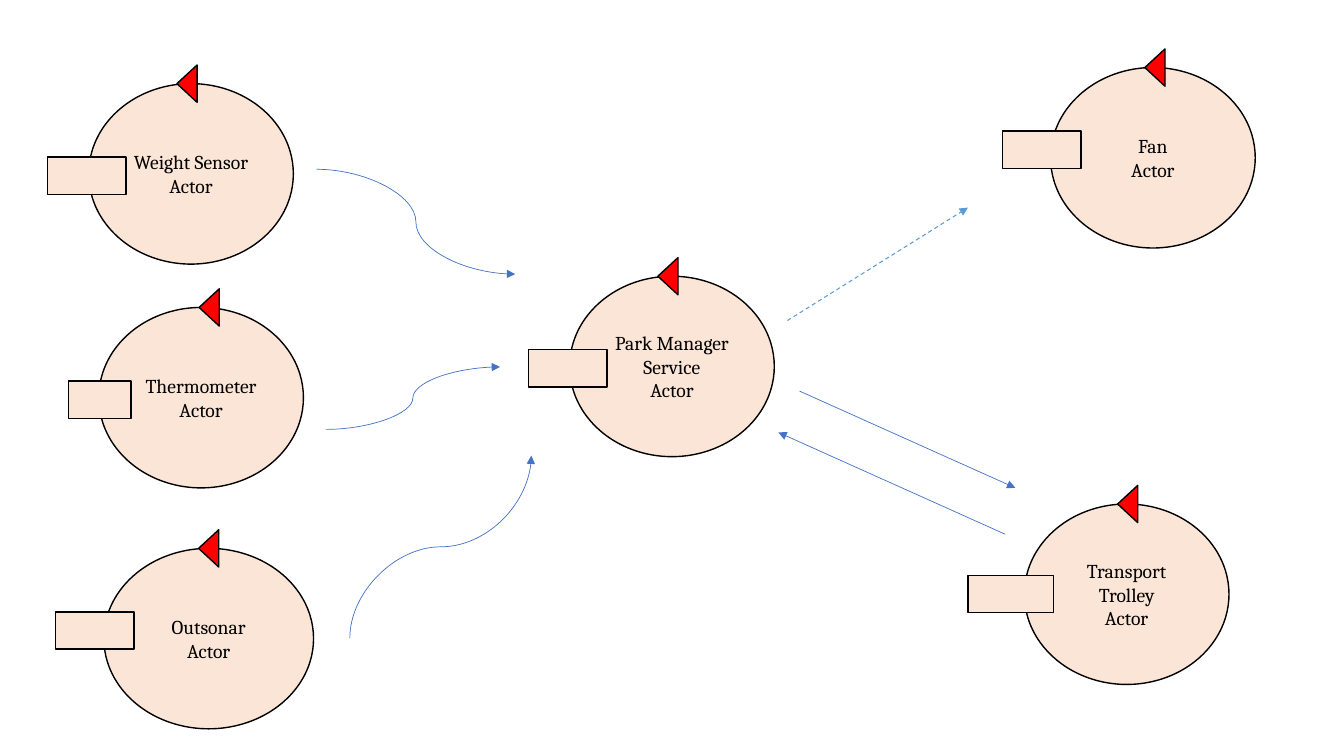
from lxml import etree
from pptx import Presentation
from pptx.dml.color import RGBColor
from pptx.enum.dml import MSO_LINE
from pptx.enum.shapes import MSO_CONNECTOR, MSO_SHAPE
from pptx.enum.text import MSO_ANCHOR, PP_ALIGN
from pptx.oxml.ns import qn
from pptx.util import Pt

PX = 9144  # EMU per px, 100 px to the inch
SLIDE_W, SLIDE_H = 1333, 750

ELLIPSE, TRIANGLE, RECT = MSO_SHAPE.OVAL, MSO_SHAPE.ISOSCELES_TRIANGLE, MSO_SHAPE.RECTANGLE
STRAIGHT, CURVE = MSO_CONNECTOR.STRAIGHT, MSO_CONNECTOR.CURVE
DASH = MSO_LINE.DASH
CENTER, MIDDLE = PP_ALIGN.CENTER, MSO_ANCHOR.MIDDLE

PEACH = RGBColor(0xFB, 0xE5, 0xD6)
RED = RGBColor(0xFF, 0x00, 0x00)
BLACK = RGBColor(0x00, 0x00, 0x00)
BLUE = RGBColor(0x44, 0x72, 0xC4)
LIGHT_BLUE = RGBColor(0x5B, 0x9B, 0xD5)
FONT = "Cambria"

ACTOR_H = 179
SLOT_H = 37
MARKER_W, MARKER_H = 37, 20

# name, actor box (x, y, w), slot in that box (dx, dy, w), marker shift from centre
ACTORS = [
    ("Thermometer", (98, 305, 203), (-30, 73, 62), 8),
    ("Transport Trolley", (1016, 500, 203), (-56, 71, 85), 1),
    ("Weight Sensor", (88, 83, 203), (-41, 73, 78), -4),
    ("Fan", (1042, 67, 203), (-48, 63, 78), 2),
    ("Outsonar", (103, 544, 208), (-48, 63, 78), 0),
    ("Park Manager Service", (565, 274, 203), (-41, 73, 78), -4),
]


def add_box(slide, kind, x, y, w, h, fill):
    sp = slide.shapes.add_shape(kind, *(round(v * PX) for v in (x, y, w, h)))
    sp.shadow.inherit = False
    sp.fill.solid()
    sp.fill.fore_color.rgb = fill
    sp.line.color.rgb = BLACK
    sp.line.width = Pt(1)
    return sp


def add_actor(slide, name, box, slot, marker_shift):
    x, y, w = box
    # Body with its label
    body = add_box(slide, ELLIPSE, x, y, w, ACTOR_H, PEACH)
    tf = body.text_frame
    tf.word_wrap = True
    tf.vertical_anchor = MIDDLE
    for i, text in enumerate((name, "Actor")):
        p = tf.add_paragraph() if i else tf.paragraphs[0]
        p.alignment = CENTER
        r = p.add_run()
        r.text = text
        r.font.name = FONT
        r.font.size = Pt(14)
        r.font.color.rgb = BLACK
    # Marker centred on the top edge, pointing left
    marker = add_box(slide, TRIANGLE, x + w / 2 + marker_shift - MARKER_W / 2,
                     y - MARKER_H / 2, MARKER_W, MARKER_H, RED)
    marker.rotation = 270
    # Slot on the left edge
    dx, dy, slot_w = slot
    add_box(slide, RECT, x + dx, y + dy, slot_w, SLOT_H, PEACH)


def add_arrow(slide, kind, start, end, color=BLUE, width=0.5, dash=None, upright=False):
    """Draw an arrow; an upright curve leaves and arrives vertically, going up and right."""
    (x1, y1), (x2, y2) = start, end
    if upright:
        # Swap the box's sides about its centre, to be turned by 90 degrees
        cx, cy = (x1 + x2) / 2, (y1 + y2) / 2
        half_w, half_h = abs(y2 - y1) / 2, abs(x2 - x1) / 2
        x1, y1, x2, y2 = cx + half_w, cy + half_h, cx - half_w, cy - half_h
    cxn = slide.shapes.add_connector(kind, *(round(v * PX) for v in (x1, y1, x2, y2)))
    cxn.line.color.rgb = color
    cxn.line.width = Pt(width)
    if dash:
        cxn.line.dash_style = dash
    spPr = cxn._element.spPr
    if upright:
        spPr.find(qn("a:xfrm")).set("rot", str(90 * 60000))
    etree.SubElement(spPr.find(qn("a:ln")), qn("a:tailEnd"), type="triangle")
    etree.SubElement(spPr, qn("a:effectLst"))


def add_messages(slide):
    # Manager to fan
    add_arrow(slide, STRAIGHT, (781, 318), (960, 206), LIGHT_BLUE, 0.75, DASH)
    # Sensors to manager
    add_arrow(slide, CURVE, (314, 168), (511, 272))
    add_arrow(slide, CURVE, (323, 426), (496, 364))
    add_arrow(slide, CURVE, (347, 633), (527, 452), upright=True)
    # Manager to trolley and back
    add_arrow(slide, STRAIGHT, (793, 388), (1007, 484))
    add_arrow(slide, STRAIGHT, (997, 530), (772, 429))


def main():
    prs = Presentation()
    prs.slide_width, prs.slide_height = SLIDE_W * PX, SLIDE_H * PX
    slide = prs.slides.add_slide(prs.slide_layouts[6])
    for actor in ACTORS:
        add_actor(slide, *actor)
    add_messages(slide)
    prs.save("out.pptx")


if __name__ == "__main__":
    main()
